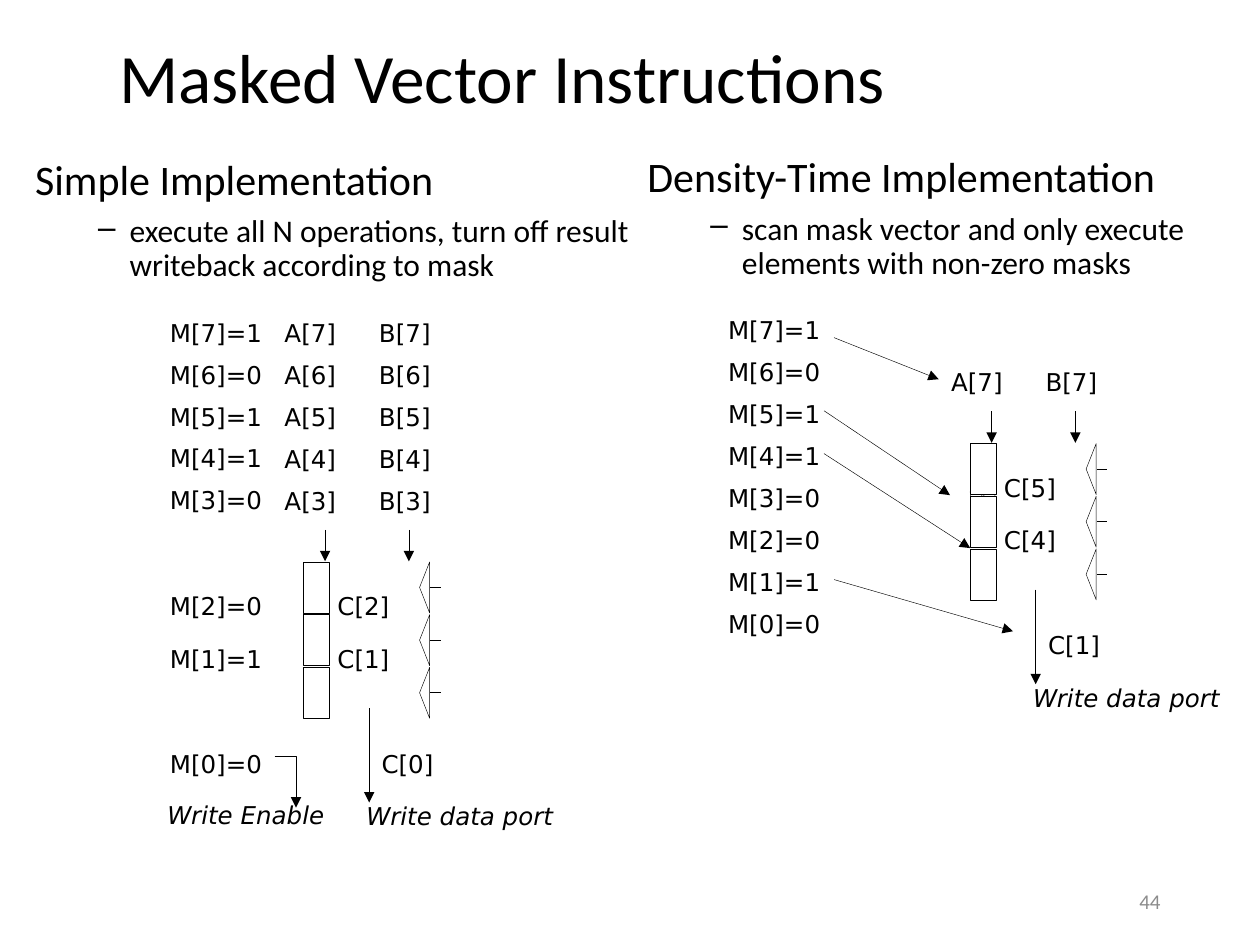
"""Build the masked vector instructions slide on a grid of 100 columns by 75 rows."""
from dataclasses import dataclass
from typing import Any, Sequence

from lxml import etree
from pptx import Presentation
from pptx.dml.color import RGBColor
from pptx.enum import shapes, text
from pptx.oxml import ns
from pptx.util import Inches, Pt

CELL = 0.1
BLACK, WHITE, GREY = "000000", "FFFFFF", "8C8C8C"
CODE = {"name": "DejaVu Sans", "size": Pt(14)}
PORT = CODE | {"italic": True}
ROW_STEP = 3.33
STAGE_STEP = 4.18
Point = tuple[float, float]


@dataclass(frozen=True)
class Label:
    words: str
    left: float
    top: float
    width: float
    style: dict[str, Any]


@dataclass(frozen=True)
class Outline:
    points: Sequence[Point]
    closed: bool = True
    fill: str | None = None
    arrow: bool = False


@dataclass(frozen=True)
class Pipeline:
    left: float
    top: float
    operands: Sequence[int]
    results: Sequence[int]


@dataclass(frozen=True)
class Heading:
    title: str
    detail: str
    left: float
    top: float
    width: float


def cells(count: float) -> int:
    """Turn a number of grid cells into a length."""
    return Inches(count * CELL)


def colour(value: str) -> RGBColor:
    """Turn a hex string into a colour."""
    return RGBColor.from_string(value)


def apply(target: Any, values: dict[str, Any]) -> None:
    """Set each format value on the target."""
    for name, value in values.items():
        setattr(target, name, value)


def add_span(para: Any, words: str, style: dict[str, Any], tint: str = BLACK) -> None:
    """Add one styled span to a paragraph."""
    span = para.add_run()
    span.text = words
    apply(span.font, style)
    span.font.color.rgb = colour(tint)


def add_box(page: Any, left: float, top: float, width: float, height: float, wrap: bool = True) -> Any:
    """Add a text box anchored in the middle and return its frame."""
    frame = page.shapes.add_textbox(*map(cells, (left, top, width, height))).text_frame
    size = text.MSO_AUTO_SIZE.NONE if wrap else text.MSO_AUTO_SIZE.SHAPE_TO_FIT_TEXT
    apply(frame, {"word_wrap": wrap, "vertical_anchor": text.MSO_ANCHOR.MIDDLE, "auto_size": size})
    return frame


def add_label(page: Any, label: Label) -> None:
    """Add a one-line diagram label."""
    frame = add_box(page, label.left, label.top, label.width, 3.35, wrap=False)
    add_span(frame.paragraphs[0], label.words, label.style)


def set_line(shape: Any, arrow: bool = False) -> None:
    """Give a shape a hairline and, if asked, an arrowhead."""
    shape.line.color.rgb = colour(BLACK)
    shape.line.width = Pt(0.25)
    if arrow:
        etree.SubElement(shape.line._get_or_add_ln(), ns.qn("a:tailEnd"), type="triangle")


def add_line(page: Any, start: Point, end: Point, arrow: bool = True) -> None:
    """Add a straight line between two grid points."""
    line = page.shapes.add_connector(shapes.MSO_CONNECTOR.STRAIGHT, *map(cells, start + end))
    set_line(line, arrow)
    etree.SubElement(line._element.spPr, ns.qn("a:effectLst"))


def paint(shape: Any, fill: str | None, arrow: bool = False) -> None:
    """Set fill, line and shadow of a shape."""
    if fill:
        shape.fill.solid()
        shape.fill.fore_color.rgb = colour(fill)
    else:
        shape.fill.background()
    set_line(shape, arrow)
    shape.shadow.inherit = False


def add_outline(page: Any, outline: Outline) -> None:
    """Add a freeform through the outline's points."""
    first, *rest = [(cells(x), cells(y)) for x, y in outline.points]
    builder = page.shapes.build_freeform(*first)
    builder.add_line_segments(rest, close=outline.closed)
    paint(builder.convert_to_shape(), outline.fill, outline.arrow)


def add_stage(page: Any, left: float, top: float) -> None:
    """Add a pipeline register with its clock marker."""
    box = page.shapes.add_shape(shapes.MSO_SHAPE.RECTANGLE, *map(cells, (left, top, 2.05, 4.05)))
    paint(box, WHITE)
    middle = top + 2.02
    marker = [(left + 10, top + 4.05), (left + 9.2, middle), (left + 10, top)]
    add_outline(page, Outline(marker, fill=WHITE))
    add_line(page, (left + 10.05, middle), (left + 10.88, middle), arrow=False)


def add_pipeline(page: Any, unit: Pipeline) -> None:
    """Add a functional unit with operands, stages and results."""
    left, top = unit.left, unit.top
    profile = [(0, 0), (0.5, 4), (1.6, 4), (2, 0), (1.2, 0), (1, 0.55), (0.85, 0)]
    add_outline(page, Outline([(left + x, top + 3.83 + y) for x, y in profile]))
    for stage in (2, 0, 1):
        add_stage(page, left, top + stage * STAGE_STEP)
    spots = [(1.7, 1.8), (1.7, 5.98), (5.2, 14.3)]
    for index, (x, y) in zip(unit.results, spots):
        add_label(page, Label(f"C[{index}]", left + x, top + y, 6.4, CODE))
    add_line(page, (left + 5.2, top + 11.6), (left + 5.2, top + 19.1))
    for x in (1.7, 8.35):
        add_line(page, (left + x, top - 2.55), (left + x, top - 0.05))
    add_label(page, Label("Write data port", left + 4, top + 18.5, 16.9, PORT))
    for row, index in enumerate(unit.operands):
        for name, x in (("A", -2.5), ("B", 5)):
            add_label(page, Label(f"{name}[{index}]", left + x, top - 6.55 - row * ROW_STEP, 6.4, CODE))


def add_masks(page: Any, left: float, tops: Sequence[float]) -> None:
    """Add the mask bits from element 7 down to 0."""
    for index, bit, top in zip(range(7, -1, -1), "10110010", tops):
        add_label(page, Label(f"M[{index}]={bit}", left, top, 9.5, CODE))


def add_heading(page: Any, heading: Heading) -> None:
    """Add a heading with one dashed detail below it."""
    frame = add_box(page, heading.left, heading.top, heading.width, 11.1)
    levels = [(heading.title, 24, 0.31, -0.31, 0), (heading.detail, 18, 0.75, -0.25, 6.5)]
    for order, (words, size, margin, indent, before) in enumerate(levels):
        para = frame.add_paragraph() if order else frame.paragraphs[0]
        props = para._p.get_or_add_pPr()
        props.set("marL", str(Inches(margin)))
        props.set("indent", str(Inches(indent)))
        if order:
            etree.SubElement(props, ns.qn("a:buChar"), char="–")
        apply(para, {"level": order, "line_spacing": 0.9, "space_before": Pt(before)})
        add_span(para, words, {"name": "Calibri", "size": Pt(size)})


def main() -> None:
    """Build and save the deck."""
    deck = Presentation()
    deck.slide_width, deck.slide_height = cells(100), cells(75)
    page = deck.slides.add_slide(deck.slide_layouts[6])

    para = add_box(page, 8.5, 4, 75.3, 4.9).paragraphs[0]
    para.line_spacing = 0.9
    add_span(para, "Masked Vector Instructions", {"name": "Calibri", "size": Pt(39.6)})
    para = add_box(page, 70.6, 69.5, 22.5, 4).paragraphs[0]
    para.alignment = text.PP_ALIGN.RIGHT
    add_span(para, "44", {"name": "Calibri", "size": Pt(12)}, GREY)

    add_pipeline(page, Pipeline(77, 35.2, [7], [5, 4, 1]))
    add_masks(page, 56.8, [24.5 + row * ROW_STEP for row in range(8)])
    mask_arrows = [((66.2, 46), (80.4, 50.1)), ((65.4, 36), (77, 43.5)),
                   ((65.4, 32.6), (75.4, 39.3)), ((66.2, 26.8), (74.5, 30.1))]
    for start, end in mask_arrows:
        add_line(page, start, end)
    add_heading(page, Heading("Density-Time Implementation",
                              "scan mask vector and only execute elements with non-zero masks",
                              50.4, 11.8, 51.7))

    add_pipeline(page, Pipeline(24.1, 44.6, range(3, 8), [2, 1, 0]))
    add_masks(page, 12.5, [24.7 + row * ROW_STEP for row in range(5)] + [46.4, 50.6, 58.9])
    add_outline(page, Outline([(21.8, 60), (23.5, 60), (23.5, 64.1)], closed=False, arrow=True))
    add_label(page, Label("Write Enable", 12.3, 63, 14.6, PORT))
    add_heading(page, Heading("Simple Implementation",
                              "execute all N operations, turn off result writeback according to mask",
                              1.8, 12, 54.2))
    deck.save("out.pptx")


if __name__ == "__main__":
    main()
